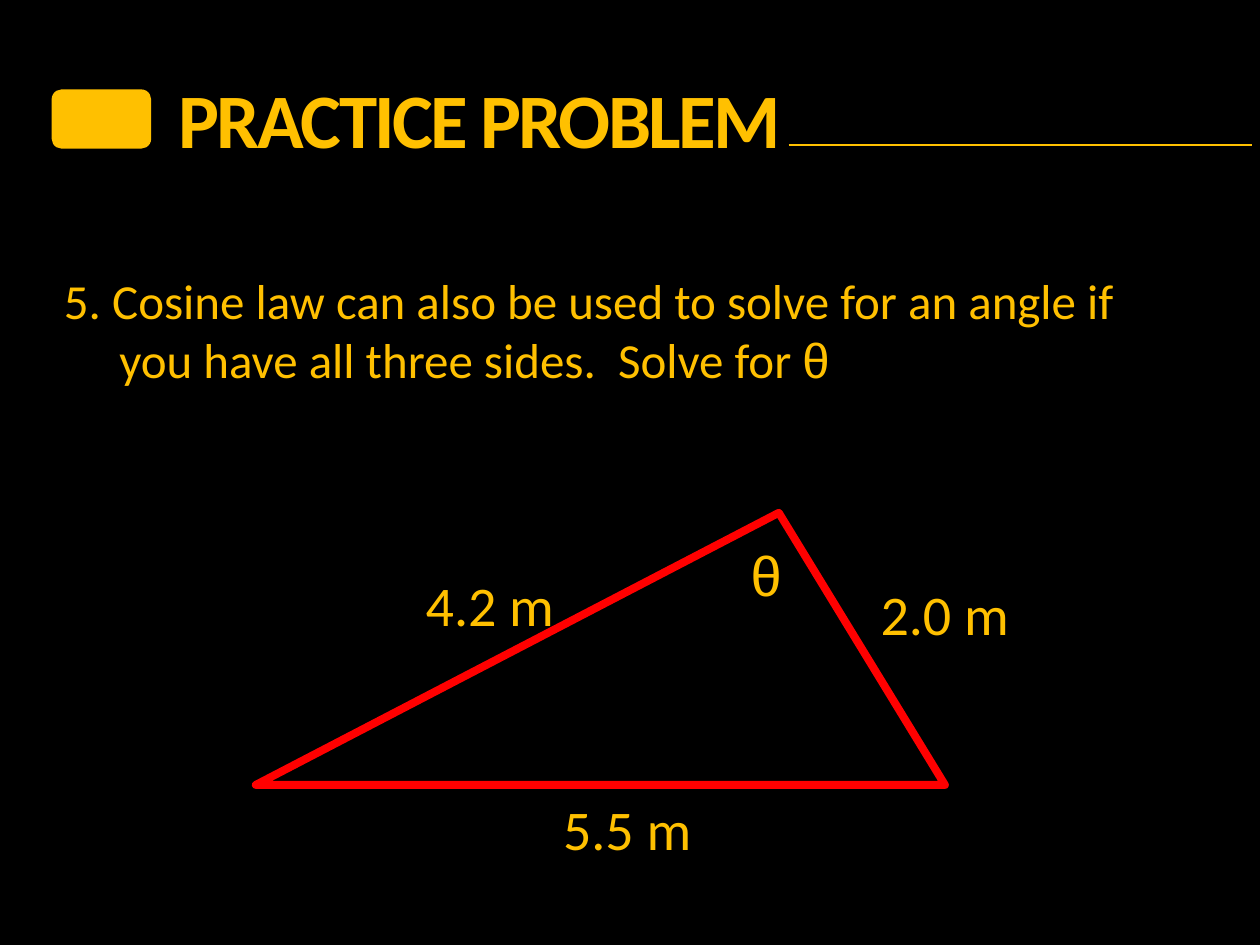
"""Build the cosine law practice problem slide."""
from pptx import Presentation
from pptx.dml.color import RGBColor
from pptx.enum import shapes, text
from pptx.oxml import parse_xml
from pptx.oxml.ns import nsdecls
from pptx.util import Pt

GOLD, RED, BLACK = "FFC000", "FF0000", "000000"
TITLE = "PRACTICE PROBLEM"
TITLE_BOX = (52.56, 37.44, 663.12, 60.48)
TITLE_INSET = 49.4
RULE = (450.72, 82.8, 715.68, 82.8)
BADGE = (29.52, 51.12, 56.88, 33.84)
QUESTION = [
    (0, [("5. Cosine law can also be used to solve for an angle if", "Calibri")]),
    (31.6, [("you have all three sides.  Solve for ", "Calibri"), ("θ", "Arial")]),
]
QUESTION_BOX = (29.52, 151.2, 652.32, 74.88)
TRIANGLE = (146.16, 293.04, 393.84, 155.52)
APEX = 0.759
LABEL_HEIGHT = 46.08
LABELS = [
    ("2.0 m", "Calibri", 496.08, 327.6, 105.84),
    ("4.2 m", "Calibri", 236.16, 322.56, 90),
    ("5.5 m", "Calibri", 314.64, 450.72, 131.04),
    ("θ", "Arial", 421.92, 305.28, 33.84),
]


def color(value):
    return RGBColor.from_string(value)


def points(values):
    return [Pt(value) for value in values]


def add_text(slide, box, paragraphs, size, bold=False, spacing=0):
    frame = slide.shapes.add_textbox(*points(box)).text_frame
    frame.word_wrap = True
    frame.auto_size = text.MSO_AUTO_SIZE.SHAPE_TO_FIT_TEXT
    for index, (indent, runs) in enumerate(paragraphs):
        line = frame.paragraphs[0] if index == 0 else frame.add_paragraph()
        if indent:
            line._p.get_or_add_pPr().set("marL", str(Pt(indent)))
        for words, face in runs:
            run = line.add_run()
            run.text = words
            for key, value in {"name": face, "size": Pt(size), "bold": bold}.items():
                setattr(run.font, key, value)
            run.font.color.rgb = color(GOLD)
            if spacing:
                run._r.get_or_add_rPr().set("spc", str(int(spacing * 100)))


def add_preset(slide, preset, box):
    shape = slide.shapes.add_shape(preset, *points(box))
    shape.shadow.inherit = False
    return shape


def main():
    deck = Presentation()
    deck.slide_width, deck.slide_height = Pt(720), Pt(540)
    slide = deck.slides.add_slide(deck.slide_layouts[6])
    slide.background.fill.solid()
    slide.background.fill.fore_color.rgb = color(BLACK)

    add_text(slide, TITLE_BOX, [(TITLE_INSET - 7.2, [(TITLE, "Calibri")])], 44, True, -1.5)
    rule = slide.shapes.add_connector(shapes.MSO_CONNECTOR.STRAIGHT, *points(RULE))
    rule.line.color.rgb = color(GOLD)
    rule.line.width = Pt(0.75)
    rule._element.spPr.append(parse_xml(f"<a:effectLst {nsdecls('a')}/>"))
    badge = add_preset(slide, shapes.MSO_SHAPE.ROUNDED_RECTANGLE, BADGE)
    badge.fill.solid()
    badge.fill.fore_color.rgb = color(GOLD)
    badge.line.fill.background()

    add_text(slide, QUESTION_BOX, QUESTION, 28)

    triangle = add_preset(slide, shapes.MSO_SHAPE.ISOSCELES_TRIANGLE, TRIANGLE)
    triangle.adjustments[0] = APEX
    triangle.fill.background()
    triangle.line.color.rgb = color(RED)
    triangle.line.width = Pt(4.5)
    for words, face, left, top, width in LABELS:
        add_text(slide, (left, top, width, LABEL_HEIGHT), [(0, [(words, face)])], 32)
    deck.save("out.pptx")


if __name__ == "__main__":
    main()
